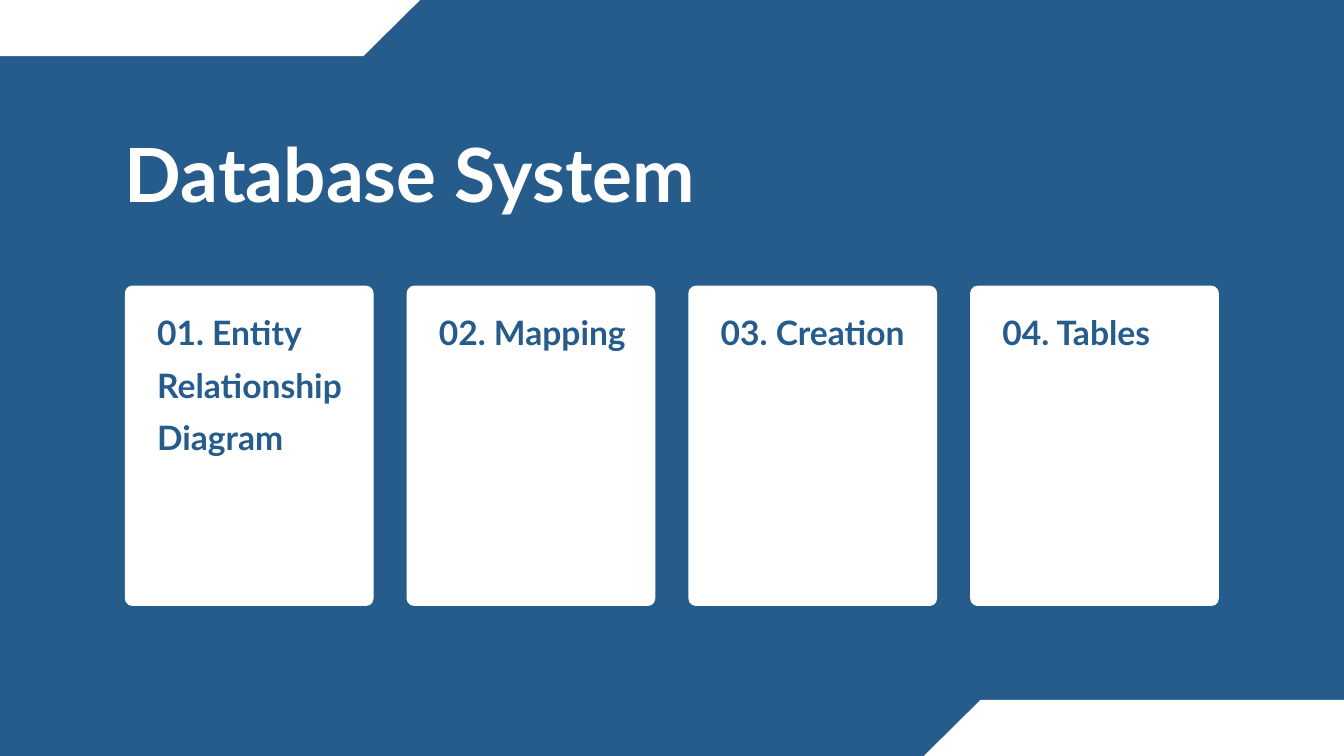
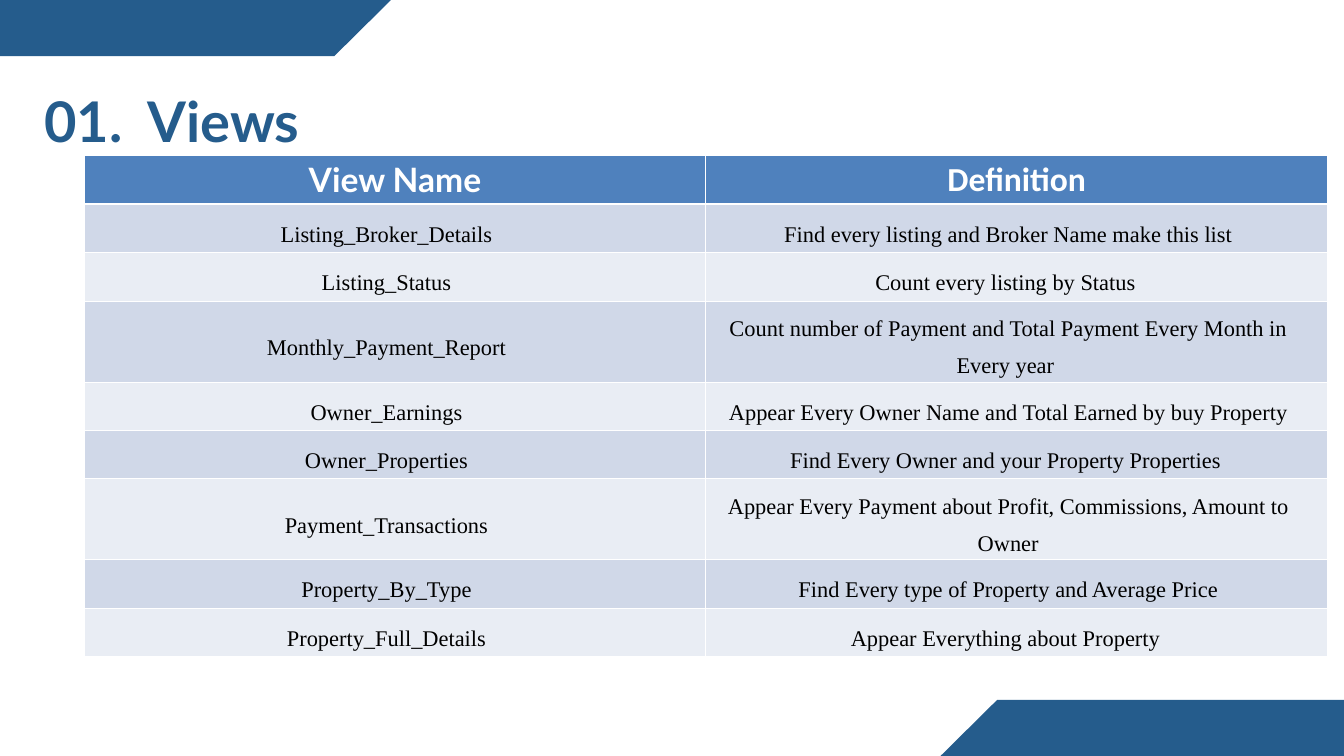
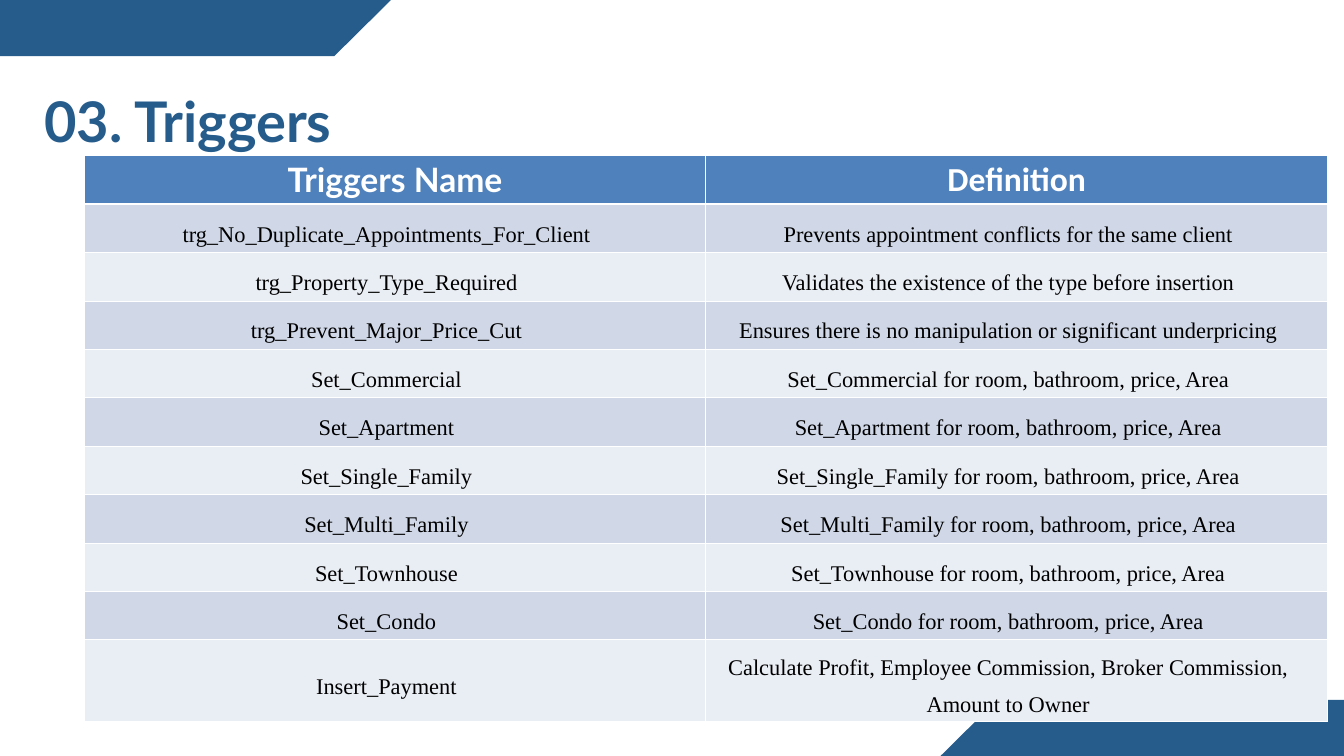
from dataclasses import dataclass

from lxml import etree
from pptx import Presentation
from pptx.dml.color import RGBColor
from pptx.enum.shapes import MSO_SHAPE
from pptx.enum.text import MSO_ANCHOR, MSO_AUTO_SIZE, PP_ALIGN
from pptx.oxml.ns import qn
from pptx.util import Cm, Pt

LEFT, CENTER = PP_ALIGN.LEFT, PP_ALIGN.CENTER
TOP, MIDDLE = MSO_ANCHOR.TOP, MSO_ANCHOR.MIDDLE
FIXED_SIZE, GROW = MSO_AUTO_SIZE.NONE, MSO_AUTO_SIZE.SHAPE_TO_FIT_TEXT
PARALLELOGRAM, ROUNDED = MSO_SHAPE.PARALLELOGRAM, MSO_SHAPE.ROUNDED_RECTANGLE
TITLE_ONLY = 5

# Shared look
BLUE, WHITE, BLACK = "255C8C", "FFFFFF", "000000"
HEADER_BLUE = "4F81BD"
ROW_FILLS = ("D0D8E8", "E9EDF4")
HEADING_FONT, TABLE_HEADER_FONT, BODY_FONT = "Lato", "Calibri", "Times New Roman"

SLIDE_WIDTH, SLIDE_HEIGHT = 50.8, 28.58
BAND_WIDTH, BAND_HEIGHT = 18.52, 2.12

# Contents cards
CARD_LEFT, CARD_TOP, CARD_PITCH = 4.72, 10.8, 10.65
CARD_WIDTH, CARD_HEIGHT = 9.4, 12.11

# Tables
TABLE_LEFT, TABLE_TOP = 3.18, 5.89
COLUMN_WIDTH, ROW_HEIGHT = 23.5, 1.83


@dataclass(frozen=True)
class Box:
    left: float
    top: float
    width: float
    height: float

    def lengths(self) -> tuple:
        return Cm(self.left), Cm(self.top), Cm(self.width), Cm(self.height)


@dataclass(frozen=True)
class TextStyle:
    size: float
    color: str
    font: str = HEADING_FONT
    bold: bool = True
    line_spacing: object = None
    alignment: object = LEFT


@dataclass(frozen=True)
class Card:
    text: str
    text_height: float = 1.8


@dataclass(frozen=True)
class DefinitionSlide:
    title: str
    name_header: str
    rows: tuple
    title_tab: float = 0


COVER_TITLE = TextStyle(80, WHITE, line_spacing=Pt(80))
SLIDE_TITLE = TextStyle(60, BLUE, line_spacing=Pt(77))
CARD_TEXT = TextStyle(36, BLUE, line_spacing=Pt(56.5))
NAME_HEADER = TextStyle(36, WHITE, alignment=CENTER)
DEFINITION_HEADER = TextStyle(36, WHITE, TABLE_HEADER_FONT, alignment=CENTER)
BODY_TEXT = TextStyle(24, BLACK, BODY_FONT, False, 1.5, CENTER)

CARDS = (
    Card("01. Entity Relationship Diagram", 5.87),
    Card("02. Mapping"),
    Card("03. Creation"),
    Card("04. Tables"),
)

PROPERTY_KINDS = ("Commercial", "Apartment", "Single_Family", "Multi_Family",
                  "Townhouse", "Condo")

VIEWS = DefinitionSlide("01.\tViews", "View Name", (
    ("Listing_Broker_Details", "Find every listing and Broker Name make this list"),
    ("Listing_Status", "Count every listing by Status "),
    ("Monthly_Payment_Report",
     "Count number of Payment and Total Payment Every Month in Every year "),
    ("Owner_Earnings", "Appear Every Owner Name and Total Earned by buy Property"),
    ("Owner_Properties", "Find Every Owner and your Property Properties "),
    ("Payment_Transactions",
     "Appear Every Payment about Profit, Commissions, Amount to Owner"),
    ("Property_By_Type", "Find Every type of Property and Average Price"),
    ("Property_Full_Details", "Appear Everything about Property "),
), title_tab=3.9)

TRIGGERS = DefinitionSlide("03. Triggers", "Triggers Name", (
    ("trg_No_Duplicate_Appointments_For_Client",
     "Prevents appointment conflicts for the same client"),
    ("trg_Property_Type_Required",
     "Validates the existence of the type before insertion"),
    ("trg_Prevent_Major_Price_Cut",
     "Ensures there is no manipulation or significant underpricing"),
    *((f"Set_{kind}", f"Set_{kind} for room, bathroom, price, Area")
      for kind in PROPERTY_KINDS),
    ("Insert_Payment",
     "Calculate Profit, Employee Commission, Broker Commission, Amount to Owner"),
))


def paint(fill, color: str) -> None:
    fill.solid()
    fill.fore_color.rgb = RGBColor.from_string(color)


def style_paragraph(paragraph, style: TextStyle) -> None:
    paragraph.alignment = style.alignment
    if style.line_spacing is not None:
        paragraph.line_spacing = style.line_spacing
    font = paragraph.font
    font.name, font.size, font.bold = style.font, Pt(style.size), style.bold
    font.color.rgb = RGBColor.from_string(style.color)


def write(shape, box: Box, text: str, style: TextStyle, fit, tab: float = 0) -> None:
    """Place a text shape without insets and fill it with one paragraph."""
    shape.left, shape.top, shape.width, shape.height = box.lengths()
    frame = shape.text_frame
    frame.margin_left = frame.margin_right = frame.margin_top = frame.margin_bottom = 0
    frame.vertical_anchor = TOP
    frame.word_wrap = True
    frame.auto_size = fit
    frame.text = text
    paragraph = frame.paragraphs[0]
    if tab:
        tabs = etree.SubElement(paragraph._p.get_or_add_pPr(), qn("a:tabLst"))
        etree.SubElement(tabs, qn("a:tab"), pos=str(Cm(tab)), algn="l")
    style_paragraph(paragraph, style)


def add_block(slide, kind, box: Box, color: str, adjustment: float) -> None:
    shape = slide.shapes.add_shape(kind, *box.lengths())
    shape.adjustments[0] = adjustment
    shape.shadow.inherit = False
    paint(shape.fill, color)
    shape.line.fill.background()


def add_slide(presentation, background: str, band_color: str, band_lefts: tuple):
    """Add a slide with its background and the two slanted corner bands."""
    slide = presentation.slides.add_slide(presentation.slide_layouts[TITLE_ONLY])
    paint(slide.background.fill, background)
    for left, top in zip(band_lefts, (0, SLIDE_HEIGHT - BAND_HEIGHT)):
        band = Box(left, top, BAND_WIDTH, BAND_HEIGHT)
        add_block(slide, PARALLELOGRAM, band, band_color, 1.01)
    return slide


def border_cell(cell, top: float, bottom: float) -> None:
    properties = cell._tc.get_or_add_tcPr()
    for side, width in (("L", 1), ("R", 1), ("T", top), ("B", bottom)):
        line = etree.SubElement(properties, qn(f"a:ln{side}"), w=str(Pt(width)))
        fill = etree.SubElement(line, qn("a:solidFill"))
        etree.SubElement(fill, qn("a:srgbClr"), val=WHITE)


def fill_cell(cell, text: str, row: int, style: TextStyle) -> None:
    border_cell(cell, top=3 if row == 1 else 1, bottom=3 if row == 0 else 1)
    paint(cell.fill, HEADER_BLUE if row == 0 else ROW_FILLS[(row - 1) % 2])
    cell.vertical_anchor = MIDDLE
    cell.text = text
    paragraph = cell.text_frame.paragraphs[0]
    if row > 0:
        cell.margin_left = cell.margin_right = Cm(0.19)
        paragraph._p.get_or_add_pPr().set("marR", str(Cm(0.65)))
    style_paragraph(paragraph, style)


def add_contents_slide(presentation) -> None:
    slide = add_slide(presentation, BLUE, WHITE, (-2.64, 34.92))
    for index, card in enumerate(CARDS):
        left = CARD_LEFT + index * CARD_PITCH
        card_box = Box(left, CARD_TOP, CARD_WIDTH, CARD_HEIGHT)
        add_block(slide, ROUNDED, card_box, WHITE, 0.03)
        text_box = Box(left + 1.22, CARD_TOP + 0.52, 7.75, card.text_height)
        shape = slide.shapes.add_textbox(*text_box.lengths())
        write(shape, text_box, card.text, CARD_TEXT, GROW)
    write(slide.shapes.title, Box(CARD_LEFT, 5.41, 23.44, 2.84),
          "Database System", COVER_TITLE, FIXED_SIZE)


def add_definition_slide(presentation, content: DefinitionSlide) -> None:
    slide = add_slide(presentation, WHITE, BLUE, (-3.74, 35.55))
    write(slide.shapes.title, Box(1.68, 3.09, 23.52, 5.49),
          content.title, SLIDE_TITLE, FIXED_SIZE, content.title_tab)

    rows = ((content.name_header, "Definition"), *content.rows)
    table_box = Box(TABLE_LEFT, TABLE_TOP, 2 * COLUMN_WIDTH, len(rows) * ROW_HEIGHT)
    table = slide.shapes.add_table(len(rows), 2, *table_box.lengths()).table
    for row, texts in enumerate(rows):
        table.rows[row].height = Cm(ROW_HEIGHT)
        styles = (BODY_TEXT, BODY_TEXT) if row else (NAME_HEADER, DEFINITION_HEADER)
        for column, (text, style) in enumerate(zip(texts, styles)):
            fill_cell(table.cell(row, column), text, row, style)


def main() -> None:
    presentation = Presentation()
    presentation.slide_width = Cm(SLIDE_WIDTH)
    presentation.slide_height = Cm(SLIDE_HEIGHT)
    add_contents_slide(presentation)
    for content in (VIEWS, TRIGGERS):
        add_definition_slide(presentation, content)
    presentation.save("out.pptx")


if __name__ == "__main__":
    main()
